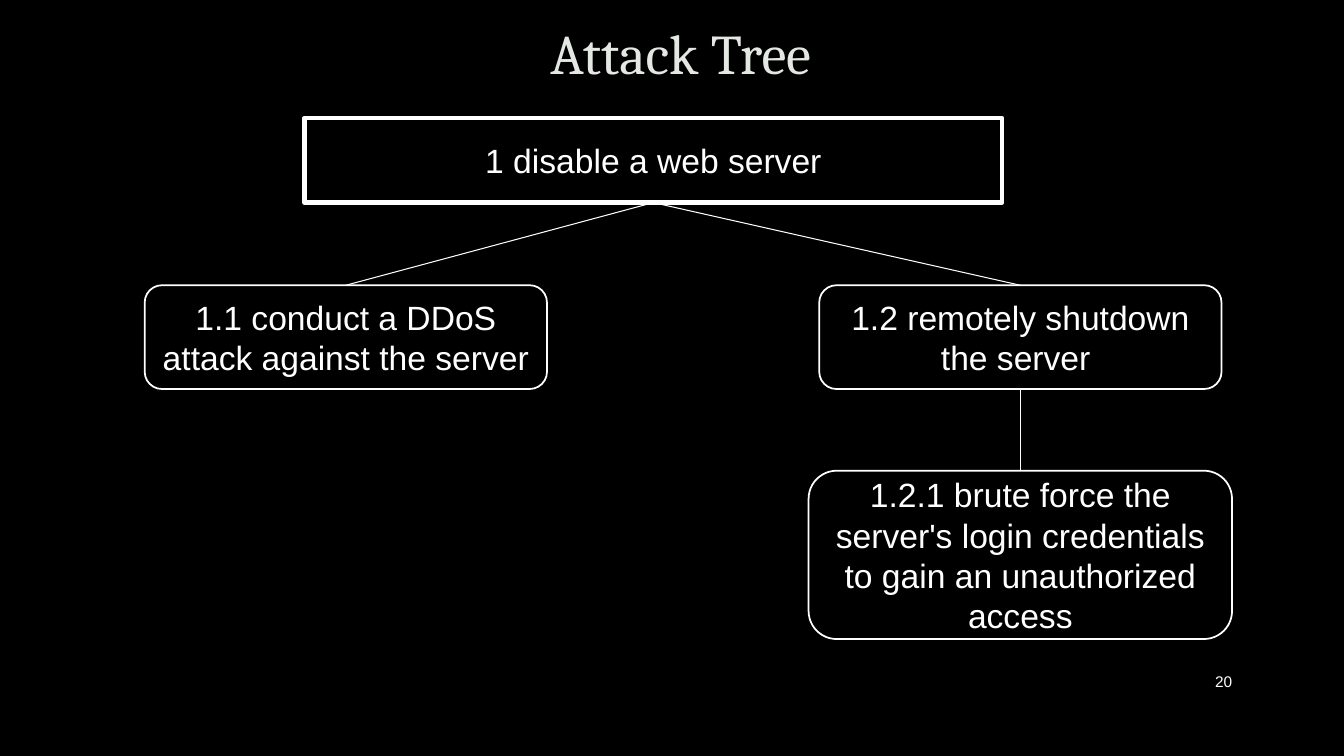
from dataclasses import dataclass

from pptx import Presentation
from pptx.dml.color import RGBColor
from pptx.enum import shapes, text
from pptx.oxml import ns
from pptx.util import Inches, Pt
from lxml import etree


@dataclass(frozen=True)
class Theme:
    back: str = "000000"
    ink: str = "FFFFFF"
    title: str = "E4E8E2"
    head: str = "Cambria"
    body: str = "Arial"
    big: int = 40
    mid: int = 24
    small: int = 11
    thick: float = 3
    edge: float = 1.25
    thin: float = 0.75


class Tree:
    """Draws an attack tree on one slide."""

    def __init__(self, deck, theme):
        self.theme = theme
        self.slide = deck.slides.add_slide(deck.slide_layouts[5])
        self.paint(self.slide.background.fill, theme.back)

    def paint(self, fill, color):
        fill.solid()
        fill.fore_color.rgb = RGBColor.from_string(color)

    def letter(self, shape, words, size, font=None, color=None,
               align=text.PP_ALIGN.CENTER):
        """Put styled words into a shape and return their paragraph."""
        frame = shape.text_frame
        frame.text = words
        frame.word_wrap = True
        frame.auto_size = text.MSO_AUTO_SIZE.NONE
        frame.vertical_anchor = text.MSO_ANCHOR.MIDDLE
        para = frame.paragraphs[0]
        para.alignment = align
        para.font.name = font or self.theme.body
        para.font.size = Pt(size)
        para.font.color.rgb = RGBColor.from_string(color or self.theme.ink)
        return para

    def title(self, words, *spot):
        shape = self.slide.shapes.title
        shape.left, shape.top, shape.width, shape.height = map(Inches, spot)
        para = self.letter(shape, words, self.theme.big, self.theme.head,
                           self.theme.title)
        para.line_spacing = 0.9

    def label(self, words, *spot):
        box = self.slide.shapes.add_textbox(*map(Inches, spot))
        self.letter(box, words, self.theme.small, align=text.PP_ALIGN.RIGHT)

    def node(self, words, mid, top, wide, high, root=False):
        """Add a box centred on mid; the root has square corners."""
        kind = shapes.MSO_SHAPE
        shape = self.slide.shapes.add_shape(
            kind.RECTANGLE if root else kind.ROUNDED_RECTANGLE,
            *map(Inches, (mid - wide / 2, top, wide, high)))
        shape.shadow.inherit = False
        self.paint(shape.fill, self.theme.back)
        self.paint(shape.line.fill, self.theme.ink)
        shape.line.width = Pt(self.theme.thick if root else self.theme.edge)
        self.letter(shape, words, self.theme.mid)
        return shape

    def link(self, upper, lower):
        """Join the bottom of one node to the top of another."""
        line = self.slide.shapes.add_connector(
            shapes.MSO_CONNECTOR.STRAIGHT, 0, 0, 0, 0)
        line.begin_connect(upper, 2)
        line.end_connect(lower, 0)
        self.paint(line.line.fill, self.theme.ink)
        line.line.width = Pt(self.theme.thin)
        etree.SubElement(line._element.spPr, ns.qn("a:effectLst"))


def main():
    deck = Presentation()
    deck.slide_width, deck.slide_height = Inches(13.33), Inches(7.5)
    tree = Tree(deck, Theme())
    tree.title("Attack Tree", 1.09, 0.14, 11.32, 0.84)
    tree.label("20", 11.5, 6.56, 0.82, 0.4)

    left, right = 3.43, 10.12
    row, wide, high = 2.83, 3.99, 1.03
    root = tree.node("1 disable a web server", 6.48, 1.17, 6.92, 0.84, root=True)
    flood = tree.node("1.1 conduct a DDoS attack against the server",
                      left, row, wide, high)
    halt = tree.node("1.2 remotely shutdown the server ",
                     right, row, wide, high)
    force = tree.node("1.2.1 brute force the server's login credentials "
                      "to gain an unauthorized access",
                      right, 4.67, 4.2, 1.67)
    for upper, lower in ((root, flood), (root, halt), (halt, force)):
        tree.link(upper, lower)
    deck.save("out.pptx")


if __name__ == "__main__":
    main()
